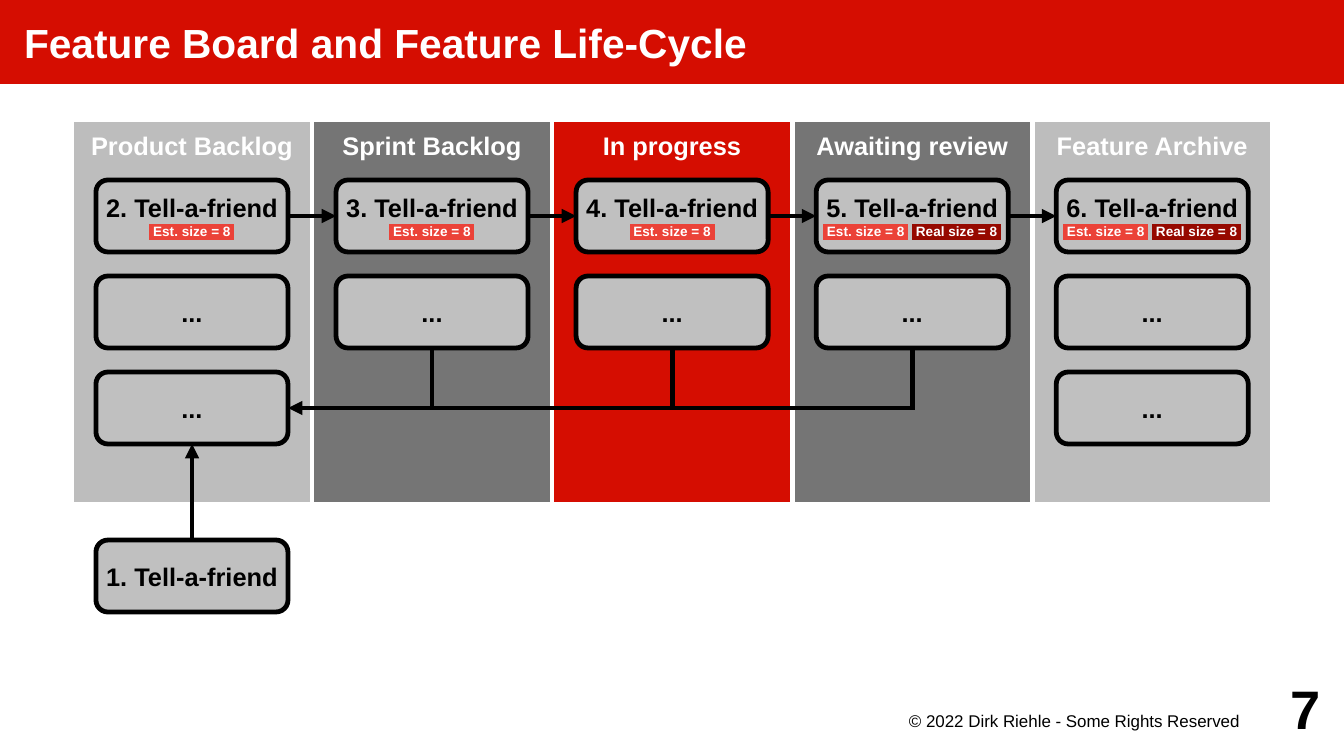
"""Build the slide on the feature board and the life-cycle of a feature."""
from lxml import etree
from pptx import Presentation
from pptx.dml.color import RGBColor
from pptx.enum import shapes, text
from pptx.oxml import ns
from pptx.util import Pt

RED = RGBColor(0xD5, 0x0D, 0x01)
LIGHT_RED = RGBColor(0xEB, 0x42, 0x38)
DARK_RED = RGBColor(0x96, 0x09, 0x00)
DARK_GREY = RGBColor(0x75, 0x75, 0x75)
LIGHT_GREY = RGBColor(0xBD, 0xBD, 0xBD)
CARD_GREY = RGBColor(0xC0, 0xC0, 0xC0)
BLACK = RGBColor(0, 0, 0)
WHITE = RGBColor(0xFF, 0xFF, 0xFF)

TITLE = "Feature Board and Feature Life-Cycle"
COPYRIGHT = "© 2022 Dirk Riehle - Some Rights Reserved"
PAGE_NUMBER = "7"
ESTIMATE = (" Est. size = 8 ", LIGHT_RED)
REAL = (" Real size = 8 ", DARK_RED)
GAP = (" ", None)
NEW_FEATURE = ("1. Tell-a-friend", [])
MORE = ("...", [])
COLUMNS = [
    ("Product Backlog", LIGHT_GREY, [("2. Tell-a-friend", [ESTIMATE]), MORE, MORE]),
    ("Sprint Backlog", DARK_GREY, [("3. Tell-a-friend", [ESTIMATE]), MORE]),
    ("In progress", RED, [("4. Tell-a-friend", [ESTIMATE]), MORE]),
    ("Awaiting review", DARK_GREY, [("5. Tell-a-friend", [ESTIMATE, GAP, REAL]), MORE]),
    ("Feature Archive", LIGHT_GREY,
     [("6. Tell-a-friend", [ESTIMATE, GAP, REAL]), MORE, MORE]),
]

SLIDE_WIDTH, SLIDE_HEIGHT = 793.44, 446.4
FONT = "Arial"
LINE_WIDTH = 2.83
INSET = 5.67
BOARD_LEFT, BOARD_TOP = 42.5, 70.87
COLUMN_WIDTH, COLUMN_HEIGHT = 141.73, 226.8
CARD_WIDTH, CARD_HEIGHT = 113.39, 42.52
CARD_INDENT = (COLUMN_WIDTH - CARD_WIDTH) / 2
FIRST_CARD_TOP, CARD_STEP = 106.3, 56.69
NEW_FEATURE_TOP = 318.9
TOP, LEFT, BOTTOM, RIGHT = range(4)


def format_run(run, size, color, bold=True):
    run.font.name = FONT
    run.font.size = Pt(size)
    run.font.bold = bold
    run.font.color.rgb = color


def set_text(shape, words, size, color, alignment, anchor, insets, bold=True, wrap=True):
    frame = shape.text_frame
    frame.text = words
    frame.word_wrap = wrap
    frame.auto_size = text.MSO_AUTO_SIZE.NONE
    frame.vertical_anchor = anchor
    (frame.margin_left, frame.margin_top,
     frame.margin_right, frame.margin_bottom) = map(Pt, insets)
    paragraph = frame.paragraphs[0]
    paragraph.alignment = alignment
    format_run(paragraph.runs[0], size, color, bold)


def add_box(slide, kind, box, fill, line, words, color, anchor):
    shape = slide.shapes.add_shape(kind, *map(Pt, box))
    shape.shadow.inherit = False
    shape.fill.solid()
    shape.fill.fore_color.rgb = fill
    shape.line.color.rgb = line
    shape.line.width = Pt(LINE_WIDTH)
    set_text(shape, words, 15, color, text.PP_ALIGN.CENTER, anchor, [INSET] * 4, wrap=False)
    return shape


def highlight(run, color):
    fill = run.font._element.find(ns.qn("a:solidFill"))
    mark = etree.Element(ns.qn("a:highlight"))
    etree.SubElement(mark, ns.qn("a:srgbClr"), val=str(color))
    fill.addnext(mark)


def add_card(slide, left, top, card):
    title, tags = card
    shape = add_box(slide, shapes.MSO_SHAPE.ROUNDED_RECTANGLE,
                    (left, top, CARD_WIDTH, CARD_HEIGHT), CARD_GREY, BLACK,
                    title, BLACK, text.MSO_ANCHOR.MIDDLE)
    if tags:
        paragraph = shape.text_frame.add_paragraph()
        paragraph.alignment = text.PP_ALIGN.CENTER
        for words, color in tags:
            run = paragraph.add_run()
            run.text = words
            format_run(run, 8, WHITE)
            if color is not None:
                highlight(run, color)
    return shape


def add_line(slide, start, end, arrow=True):
    connector = slide.shapes.add_connector(
        shapes.MSO_CONNECTOR.STRAIGHT, *map(Pt, start + end))
    connector.line.color.rgb = BLACK
    connector.line.width = Pt(LINE_WIDTH)
    properties = connector._element.spPr
    if arrow:
        etree.SubElement(properties.find(ns.qn("a:ln")), ns.qn("a:tailEnd"), type="triangle")
    etree.SubElement(properties, ns.qn("a:effectLst"))
    return connector


def join(slide, source, source_side, target, target_side):
    connector = add_line(slide, (0, 0), (0, 0))
    connector.begin_connect(source, source_side)
    connector.end_connect(target, target_side)


def add_board(slide):
    lefts = [BOARD_LEFT + i * COLUMN_WIDTH for i in range(len(COLUMNS))]
    for left, (name, fill, _) in zip(lefts, COLUMNS):
        add_box(slide, shapes.MSO_SHAPE.RECTANGLE,
                (left, BOARD_TOP, COLUMN_WIDTH, COLUMN_HEIGHT),
                fill, WHITE, name, WHITE, text.MSO_ANCHOR.TOP)
    return [
        [add_card(slide, left + CARD_INDENT, FIRST_CARD_TOP + row * CARD_STEP, card)
         for row, card in enumerate(cards)]
        for left, (_, _, cards) in zip(lefts, COLUMNS)
    ]


def add_flow(slide, board):
    for current, following in zip(board, board[1:]):
        join(slide, current[0], RIGHT, following[0], LEFT)

    backlog_card = board[0][-1]
    new_card = add_card(slide, BOARD_LEFT + CARD_INDENT, NEW_FEATURE_TOP, NEW_FEATURE)
    join(slide, new_card, TOP, backlog_card, BOTTOM)

    return_y = (backlog_card.top + backlog_card.height / 2) / Pt(1)
    for column in board[1:4]:
        card = column[-1]
        x = (card.left + card.width / 2) / Pt(1)
        bottom = (card.top + card.height) / Pt(1)
        drop = add_line(slide, (x, bottom), (x, return_y), arrow=False)
        drop.begin_connect(card, BOTTOM)
    back = add_line(slide, (x + LINE_WIDTH / 2, return_y), (x, return_y))
    back.end_connect(backlog_card, RIGHT)


def add_footer(slide):
    middle, top = text.MSO_ANCHOR.MIDDLE, text.MSO_ANCHOR.TOP
    for words, box, size, bold, anchor, insets in [
        (COPYRIGHT, (510.5, 418.3, 226.8, 21.6), 10, False, top, (0, 1.4, INSET, 0)),
        (PAGE_NUMBER, (722.9, 396.8, 56.7, 42.5), 32, True, middle, (0, 0, 0, 0)),
    ]:
        shape = slide.shapes.add_textbox(*map(Pt, box))
        set_text(shape, words, size, BLACK, text.PP_ALIGN.RIGHT, anchor, insets, bold)


def main():
    presentation = Presentation()
    presentation.slide_width = Pt(SLIDE_WIDTH)
    presentation.slide_height = Pt(SLIDE_HEIGHT)
    slide = presentation.slides.add_slide(presentation.slide_layouts[5])

    title = slide.shapes.title
    title.left, title.top, title.width, title.height = map(Pt, (0, 0, SLIDE_WIDTH, 49.6))
    title.fill.solid()
    title.fill.fore_color.rgb = RED
    set_text(title, TITLE, 24, WHITE, text.PP_ALIGN.LEFT,
             text.MSO_ANCHOR.MIDDLE, (14.2, 0, 0, 0))

    add_flow(slide, add_board(slide))
    add_footer(slide)
    presentation.save("out.pptx")


if __name__ == "__main__":
    main()
